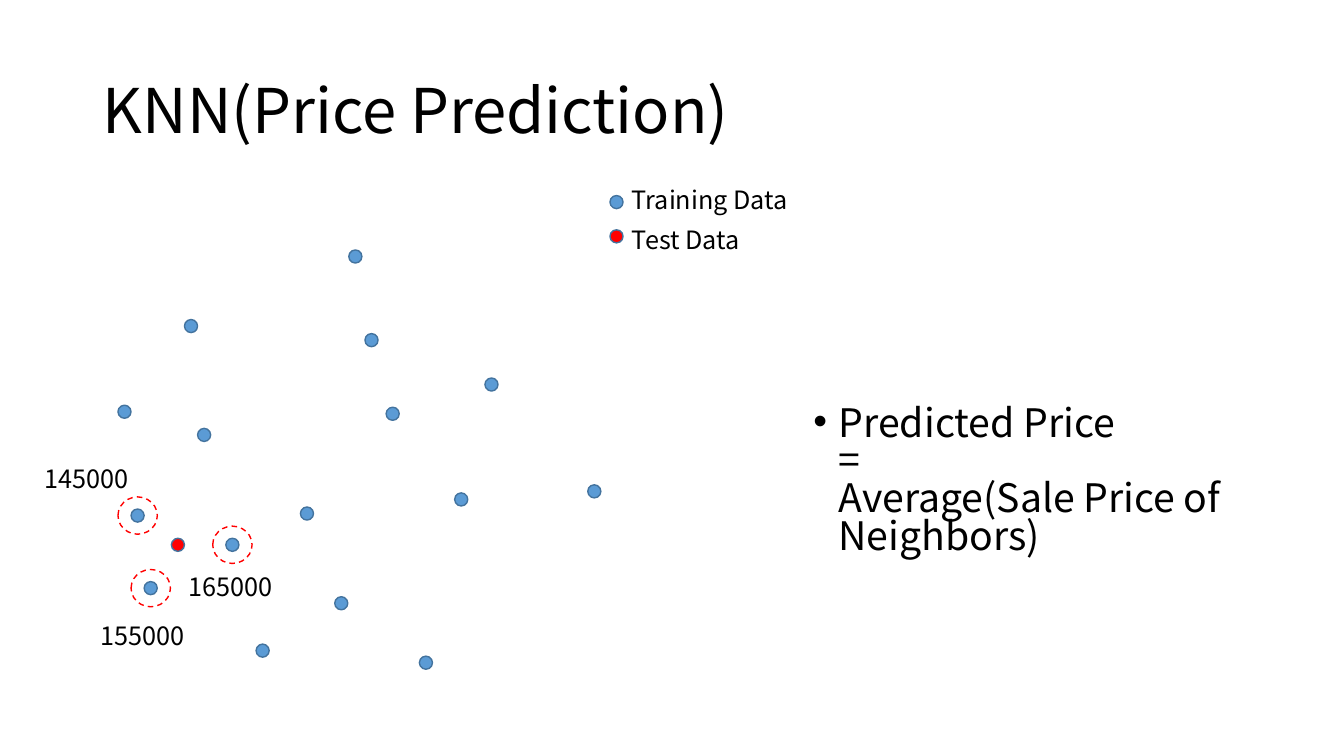
import pptx
import pptx.dml.color
import pptx.enum.dml
import pptx.enum.shapes
import pptx.enum.text
import pptx.oxml
import pptx.oxml.ns
import pptx.util
from pptx.util import Inches

RGBColor = pptx.dml.color.RGBColor
BLUE = RGBColor(0x5B, 0x9B, 0xD5)
EDGE = RGBColor(0x43, 0x73, 0x9E)
RED = RGBColor(0xFF, 0x00, 0x00)
BLACK = RGBColor(0x00, 0x00, 0x00)
FONT = "Noto Sans CJK KR"
DOT = 0.13

TRAIN = [
    (3.46, 2.48), (1.83, 3.17), (4.81, 3.75), (3.32, 5.92), (1.96, 4.25),
    (3.83, 4.04), (5.83, 4.81), (4.16, 6.51), (4.51, 4.89), (1.17, 4.02),
    (2.98, 5.03), (3.62, 3.31), (2.54, 6.39),
]
TEST = (1.7, 5.34)
# Each neighbor: dot, label place, price
NEAR = [
    ((1.3, 5.05), (0.34, 4.55), "145000"),
    ((1.43, 5.77), (0.9, 6.11), "155000"),
    ((2.24, 5.34), (1.77, 5.62), "165000"),
]
# Each key entry: color, dot top, label top, label
KEY = [
    (BLUE, 1.94, 1.78, "Training Data"),
    (RED, 2.28, 2.18, "Test Data"),
]


def style(frame, size):
    """Set size, font and color of all runs in a text frame."""
    for para in frame.paragraphs:
        for run in para.runs:
            run.font.size = pptx.util.Pt(size)
            run.font.name = FONT
            run.font.color.rgb = BLACK


def add_text(slide, left, top, width, height, text, size=18):
    """Add a wrapped text box and return its frame."""
    box = slide.shapes.add_textbox(
        Inches(left), Inches(top), Inches(width), Inches(height))
    frame = box.text_frame
    frame.word_wrap = True
    frame.text = text
    style(frame, size)
    return frame


def add_oval(slide, left, top, width, height, edge):
    """Add an unfilled ellipse with a thin line."""
    oval = slide.shapes.add_shape(
        pptx.enum.shapes.MSO_SHAPE.OVAL,
        Inches(left), Inches(top), Inches(width), Inches(height))
    oval.shadow.inherit = False
    oval.fill.background()
    oval.line.color.rgb = edge
    oval.line.width = pptx.util.Pt(1)
    return oval


def add_dot(slide, left, top, color=BLUE):
    """Add one data point."""
    dot = add_oval(slide, left, top, DOT, DOT, EDGE)
    dot.fill.solid()
    dot.fill.fore_color.rgb = color


def add_ring(slide, left, top):
    """Add a dashed ring around the dot at left, top."""
    wide, high = 0.39, 0.37
    ring = add_oval(slide, left - (wide - DOT) / 2, top - (high - DOT) / 2,
                    wide, high, RED)
    ring.line.dash_style = pptx.enum.dml.MSO_LINE.DASH


def add_title(slide, text):
    """Place and format the title."""
    title = slide.shapes.title
    title.left, title.top = Inches(0.92), Inches(0.4)
    title.width, title.height = Inches(11.5), Inches(1.45)
    frame = title.text_frame
    frame.text = text
    frame.auto_size = pptx.enum.text.MSO_AUTO_SIZE.NONE
    frame.vertical_anchor = pptx.enum.text.MSO_ANCHOR.MIDDLE
    para = frame.paragraphs[0]
    para.alignment = pptx.enum.text.PP_ALIGN.LEFT
    para.line_spacing = 0.9
    style(frame, 44)


def add_rule(slide, text):
    """Add the bulleted price rule."""
    para = add_text(slide, 7.97, 3.99, 4.36, 1.76, text, 28).paragraphs[0]
    para.line_spacing = 0.8
    para.space_before = pptx.util.Pt(10)
    props = para._p.get_or_add_pPr()
    props.set("marL", str(Inches(0.25)))
    props.set("indent", str(Inches(-0.25)))
    for tag, key, value in (("a:buFont", "typeface", "Arial"),
                            ("a:buChar", "char", "\u2022")):
        node = pptx.oxml.xmlchemy.OxmlElement(tag)
        node.set(key, value)
        props.append(node)


def main():
    """Build the slide and save it."""
    deck = pptx.Presentation()
    deck.slide_width, deck.slide_height = Inches(13.33), Inches(7.5)
    slide = deck.slides.add_slide(deck.slide_layouts[5])
    add_title(slide, "KNN(Price Prediction)")
    add_rule(slide,
             "Predicted Price\v=\vAverage(Sale Price of Neighbors)")
    for left, top in TRAIN:
        add_dot(slide, left, top)
    add_dot(slide, *TEST, RED)
    for color, top, text_top, label in KEY:
        add_dot(slide, 6.05, top, color)
        add_text(slide, 6.17, text_top, 1.8, 0.4, label)
    for spot, place, price in NEAR:
        add_dot(slide, *spot)
        add_ring(slide, *spot)
        add_text(slide, *place, 1.09, 0.4, price)
    deck.save("out.pptx")


main()
